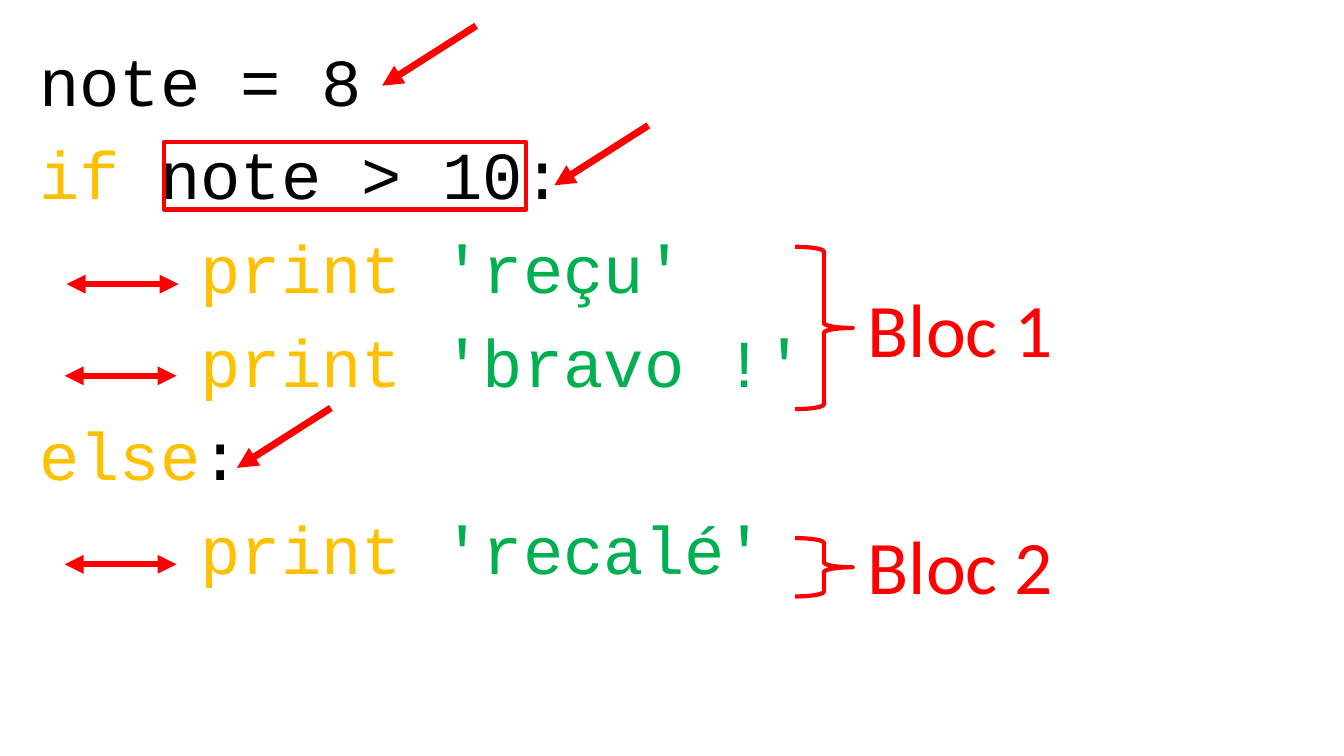
from lxml import etree
from pptx import Presentation
from pptx.dml.color import RGBColor
from pptx.enum import shapes as kinds
from pptx.oxml import ns
from pptx.util import Cm, Pt

BLACK = RGBColor(0x00, 0x00, 0x00)
KEYWORD = RGBColor(0xFF, 0xC0, 0x00)
STRING = RGBColor(0x00, 0xB0, 0x50)
RED = RGBColor(0xFF, 0x00, 0x00)

deck = Presentation()
deck.slide_width, deck.slide_height = Cm(33.87), Cm(19.05)
slide = deck.slides.add_slide(deck.slide_layouts[6])


def write(paragraph, content, *, font, size, color):
    run = paragraph.add_run()
    run.text = content
    run.font.name = font
    run.font.size = Pt(size)
    run.font.color.rgb = color


def draw_arrow(start, end, *, width, ends):
    arrow = slide.shapes.add_connector(
        kinds.MSO_CONNECTOR.STRAIGHT, *(Cm(value) for value in start + end))
    arrow.line.color.rgb = RED
    arrow.line.width = Pt(width)
    outline = arrow.line._get_or_add_ln()
    for side in ends:
        etree.SubElement(outline, ns.qn(f"a:{side}"), type="triangle")
    etree.SubElement(arrow._element.spPr, ns.qn("a:effectLst"))


program = [
    [("note = 8", BLACK)],
    [("if", KEYWORD), (" note > 10:", BLACK)],
    [("    print ", KEYWORD), ("'reçu'", STRING)],
    [("    print ", KEYWORD), ("'bravo !'", STRING)],
    [("else", KEYWORD), (":", BLACK)],
    [("    print ", KEYWORD), ("'recalé'", STRING)],
]
code = slide.shapes.add_textbox(Cm(0.74), Cm(0.86), Cm(22.86), Cm(14.83)).text_frame
code.word_wrap = True
for number, statement in enumerate(program):
    if number == 0:
        line = code.paragraphs[0]
    else:
        line = code.add_paragraph()
        line.space_before = Pt(9.3)
    for token, color in statement:
        write(line, token, font="Courier New", size=48, color=color)

for left, top in [(1.68, 7.16), (1.63, 9.47), (1.63, 14.22)]:
    draw_arrow((left + 2.82, top), (left, top), width=4.5, ends=["headEnd", "tailEnd"])

for left, top in [(13.97, 4.67), (5.97, 11.79), (9.63, 2.16)]:
    draw_arrow((left + 2.37, top - 1.51), (left, top), width=5, ends=["tailEnd"])

condition = (kinds.MSO_SHAPE.RECTANGLE, 4.14, 3.58, 9.12, 1.7)
blocks = [("Bloc 1", 6.22, 4.09, 6.99), ("Bloc 2", 13.56, 1.47, 12.95)]
braces = [(kinds.MSO_SHAPE.RIGHT_BRACE, 20.04, top, 1.45, height)
          for _, top, height, _ in blocks]
for preset, *bounds in braces + [condition]:
    marker = slide.shapes.add_shape(preset, *(Cm(value) for value in bounds))
    marker.shadow.inherit = False
    marker.fill.background()
    marker.line.color.rgb = RED
    marker.line.width = Pt(3)

for name, _, _, label_top in blocks:
    label = slide.shapes.add_textbox(Cm(21.62), Cm(label_top), Cm(6.98), Cm(2.57)).text_frame
    label.word_wrap = True
    write(label.paragraphs[0], name, font="Calibri", size=54, color=RED)

deck.save("out.pptx")
